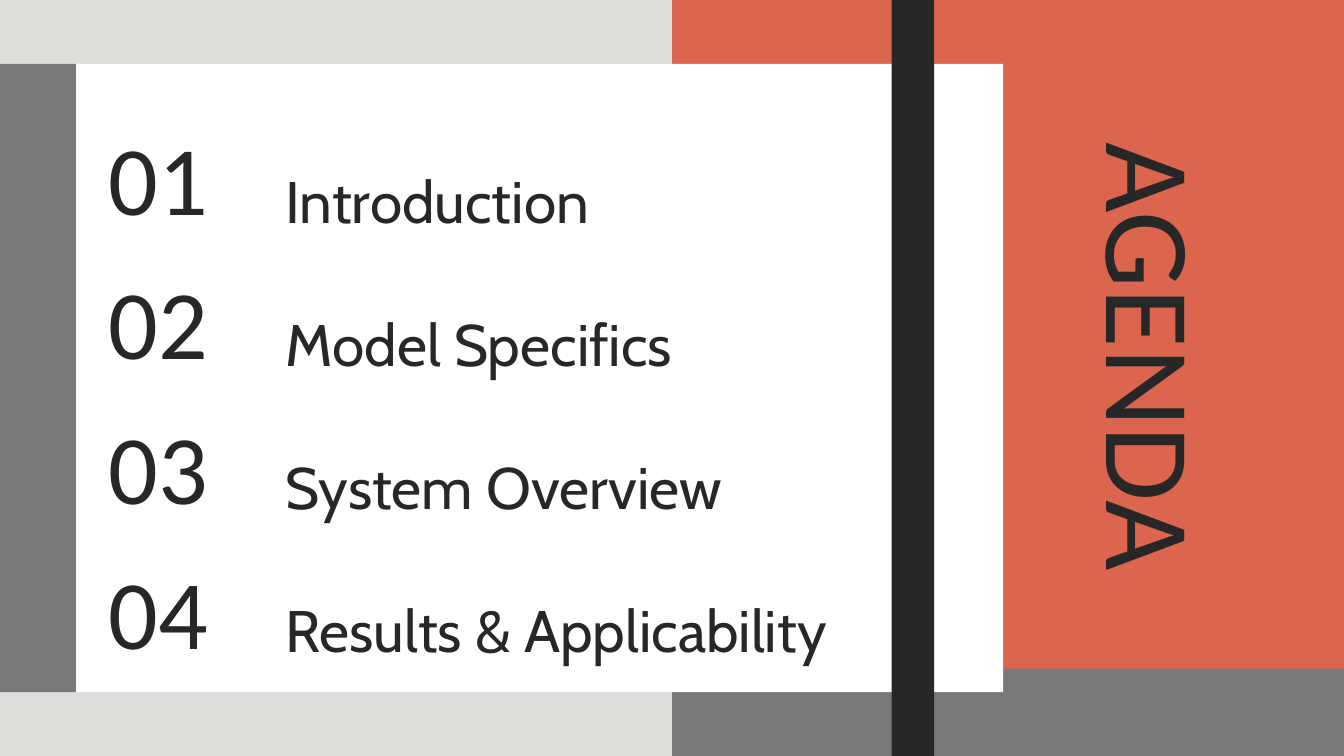
from pptx import Presentation
from pptx.dml.color import RGBColor
from pptx.enum.shapes import MSO_SHAPE
from pptx.enum.text import MSO_ANCHOR, MSO_AUTO_SIZE, PP_ALIGN
from pptx.util import Inches, Pt

W, H = 20, 11.25
COLORS = {"coral": "DC654E", "grey": "797979", "pale": "DDDEDA",
          "white": "FFFFFF", "ink": "272727"}

TITLE = "AGENDA"
ITEMS = ["Introduction", "Model Specifics", "System Overview",
         "Results & Applicability"]

CARD_LEFT, CARD_TOP, CARD_W = 1.13, 0.95, 13.8
CARD_H = H - 2 * CARD_TOP
BAND_TOP = 9.95
# Colour, left, top, width, height; from back to front
PANELS = [
    ("grey", W / 2, BAND_TOP, W / 2, H - BAND_TOP),
    ("pale", 0, 0, W / 2, H),
    ("white", CARD_LEFT, CARD_TOP, CARD_W, CARD_H),
    ("ink", 13.27, 0, 0.63, H),
    ("grey", 0, CARD_TOP, CARD_LEFT, CARD_H),
]

# Left, first top, row step, width, height, font, size, line spacing
NUMBER = (1.62, 1.6, 2.153, 2.63, 1.77, "Calibri", 105.1, 1.08)
LABEL = (4.25, 2.03, 2.13, 9.64, 1.05, "Cabin", 62.7, 1.4)


def rgb(name):
    return RGBColor.from_string(COLORS[name])


def add_panel(s, color, *box):
    sp = s.shapes.add_shape(MSO_SHAPE.RECTANGLE, *map(Inches, box))
    sp.shadow.inherit = False
    sp.fill.solid()
    sp.fill.fore_color.rgb = rgb(color)
    sp.line.fill.background()


def write(sp, text, font, size, spacing, align=PP_ALIGN.LEFT):
    tf = sp.text_frame
    tf.word_wrap = True
    tf.auto_size = MSO_AUTO_SIZE.SHAPE_TO_FIT_TEXT
    tf.vertical_anchor = MSO_ANCHOR.TOP
    tf.margin_left = tf.margin_right = tf.margin_top = tf.margin_bottom = 0
    p = tf.paragraphs[0]
    p.text = text
    p.alignment = align
    p.line_spacing = spacing
    p.font.name = font
    p.font.size = Pt(size)
    p.font.color.rgb = rgb("ink")


def add_row_text(s, row, text, column):
    left, top, step, width, height, *style = column
    box = (left, top + row * step, width, height)
    write(s.shapes.add_textbox(*map(Inches, box)), text, *style)


def main():
    prs = Presentation()
    prs.slide_width, prs.slide_height = Inches(W), Inches(H)
    s = prs.slides.add_slide(prs.slide_layouts[5])
    s.background.fill.solid()
    s.background.fill.fore_color.rgb = rgb("coral")

    for panel in PANELS:
        add_panel(s, *panel)
    for row, item in enumerate(ITEMS):
        add_row_text(s, row, f"{row + 1:02d}", NUMBER)
        add_row_text(s, row, item, LABEL)

    title = s.shapes.title
    title.left, title.top = Inches(12.71), Inches(4.3)
    title.width, title.height = Inches(9.49), Inches(2.01)
    title.rotation = 90
    write(title, TITLE, "Calibri", 130.6, 1.08, PP_ALIGN.CENTER)

    prs.save("out.pptx")


if __name__ == "__main__":
    main()
